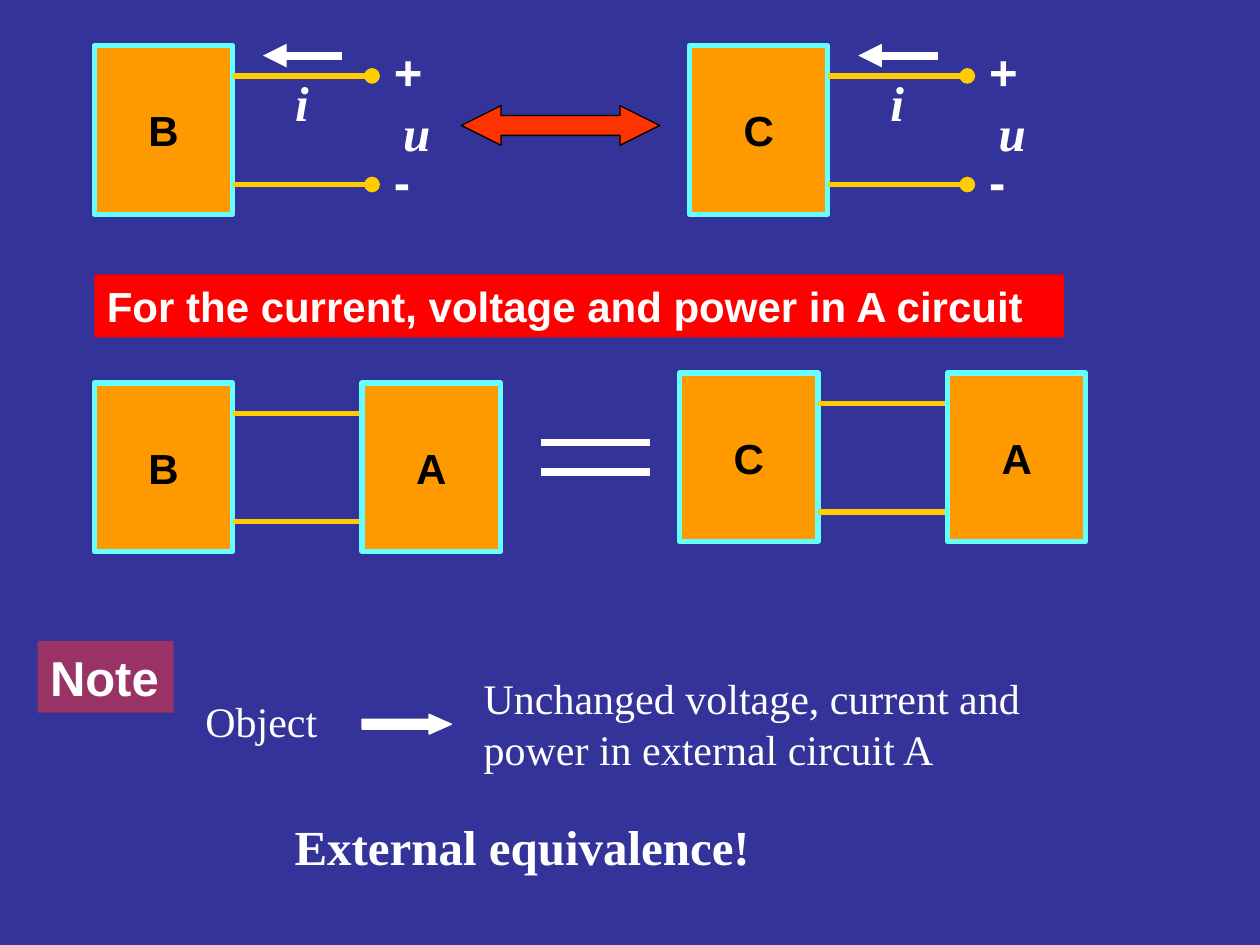
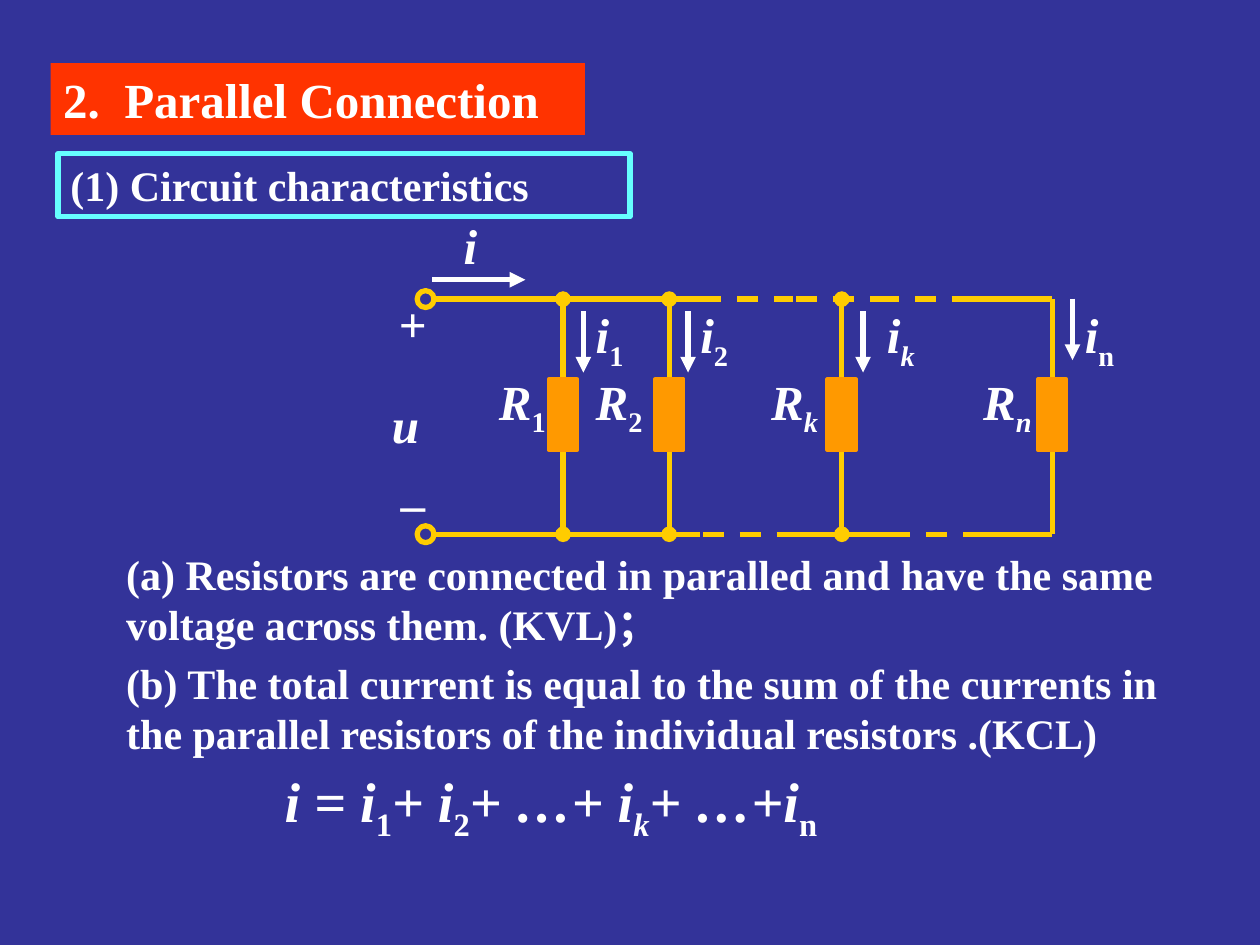
import pptx
import pptx.dml.color
import pptx.enum.dml
import pptx.enum.shapes
import pptx.enum.text
import pptx.oxml.ns
import pptx.util
from lxml import etree

Cm, Pt = pptx.util.Cm, pptx.util.Pt
RGB = pptx.dml.color.RGBColor
KIND = pptx.enum.shapes.MSO_SHAPE
ALIGN = pptx.enum.text.PP_ALIGN
ANCHOR = pptx.enum.text.MSO_ANCHOR
qn = pptx.oxml.ns.qn

NAVY = RGB(0x33, 0x33, 0x99)
WHITE = RGB(0xFF, 0xFF, 0xFF)
BLACK = RGB(0, 0, 0)
ORANGE = RGB(0xFF, 0x99, 0x00)
GOLD = RGB(0xFF, 0xCC, 0x00)
CYAN = RGB(0x66, 0xFF, 0xFF)
RED = RGB(0xFF, 0, 0)
SCARLET = RGB(0xFF, 0x33, 0x00)
PLUM = RGB(0x99, 0x33, 0x66)
SANS, SERIF = "Arial", "Times New Roman"


def place(shape, left, top, width, height):
    shape.left, shape.top = Cm(left), Cm(top)
    shape.width, shape.height = Cm(width), Cm(height)


def style(para, size, font=SERIF, color=WHITE, bold=True, italic=False,
          align=ALIGN.LEFT):
    para.alignment = align
    para.font.size, para.font.name = Pt(size), font
    para.font.bold, para.font.italic = bold, italic
    para.font.color.rgb = color


def write(shape, text, size, wrap=True, anchor=ANCHOR.TOP, **look):
    """Fill a shape with one styled paragraph."""
    frame = shape.text_frame
    frame.word_wrap, frame.vertical_anchor = wrap, anchor
    frame.auto_size = pptx.enum.text.MSO_AUTO_SIZE.NONE
    frame.text = text
    style(frame.paragraphs[0], size, **look)


def label(slide, text, box, size=28, **look):
    shape = slide.shapes.add_textbox(0, 0, 0, 0)
    place(shape, *box)
    write(shape, text, size, **look)
    return shape


def maths(slide, parts, box, size=28, **look):
    """Write (text, subscript, slanted) parts on one line."""
    para = label(slide, "", box, size, **look).text_frame.paragraphs[0]
    for text, low, slant in parts:
        run = para.add_run()
        run.text = text
        run.font.italic = slant
        if low:
            run.font._element.set("baseline", "-25000")


def block(slide, kind, box, fill=None, line=None, width=3):
    shape = slide.shapes.add_shape(kind, 0, 0, 0, 0)
    place(shape, *box)
    shape.shadow.inherit = False
    paint(shape, fill, line, width)
    return shape


def paint(shape, fill, line=None, width=3):
    if fill is None:
        shape.fill.background()
    else:
        shape.fill.solid()
        shape.fill.fore_color.rgb = fill
    if line is None:
        shape.line.fill.background()
    else:
        shape.line.color.rgb = line
        shape.line.width = Pt(width)


def wire(slide, x1, y1, x2, y2, color=GOLD, width=3, dash=False,
         head=None, tail=None):
    link = slide.shapes.add_connector(
        pptx.enum.shapes.MSO_CONNECTOR.STRAIGHT, Cm(x1), Cm(y1), Cm(x2), Cm(y2))
    link.line.color.rgb = color
    link.line.width = Pt(width)
    if dash:
        link.line.dash_style = pptx.enum.dml.MSO_LINE.DASH
    for tag, end in (("a:headEnd", head), ("a:tailEnd", tail)):
        if end:
            etree.SubElement(link.line._ln, qn(tag), type=end)
    etree.SubElement(link._element.spPr, qn("a:effectLst"))


def title(slide, text, box, fill, size, font):
    shape = slide.shapes.title
    place(shape, *box)
    paint(shape, fill)
    write(shape, text, size, font=font)


def cell(slide, name, left, top):
    """Draw a named part of a circuit as a framed box."""
    shape = block(slide, KIND.RECTANGLE, (left, top, 2.79, 3.4), ORANGE, CYAN)
    write(shape, name, 24, wrap=False, anchor=ANCHOR.MIDDLE, font=SANS,
          color=BLACK, align=ALIGN.CENTER)


def leads(slide, name, left, top):
    """Draw a box with its two leads."""
    cell(slide, name, left, top)
    for drop in (0.61, 2.8):
        wire(slide, left + 2.79, top + drop, left + 5.6, top + drop, tail="oval")


def port(slide, name, left, top):
    """Draw a box with leads, current arrow and voltage signs."""
    leads(slide, name, left, top)
    wire(slide, left + 5, top + 0.2, left + 3.4, top + 0.2, WHITE, 4.5,
         tail="triangle")
    for text, dx, dy, font in (("+", 5.79, -0.2, SANS), ("-", 5.79, 2.01, SANS),
                               ("u", 5.98, 1.02, SERIF), ("i", 3.8, 0.41, SERIF)):
        label(slide, text, (left + dx, top + dy, 1, 1.45), font=font,
              italic=font == SERIF)


def joined(slide, name, left, top):
    """Draw a box wired to circuit A."""
    leads(slide, name, left, top)
    cell(slide, "A", left + 5.4, top)


def equal(slide):
    title(slide, "For the current, voltage and power in A circuit",
          (1.9, 5.53, 19.55, 1.27), RED, 24, SANS)
    port(slide, "B", 1.9, 0.92)
    port(slide, "C", 13.9, 0.92)
    both = block(slide, KIND.LEFT_RIGHT_ARROW, (9.3, 2.13, 4, 0.8), SCARLET,
                 BLACK, 0.75)
    both.adjustments[1] = 1
    joined(slide, "B", 1.9, 7.72)
    joined(slide, "C", 13.7, 7.52)
    for y in (8.92, 9.52):
        wire(slide, 10.9, y, 13.1, y, WHITE, 4.5)

    note = block(slide, KIND.RECTANGLE, (0.76, 12.92, 2.74, 1.45), PLUM)
    write(note, "Note", 28, font=SANS)
    label(slide, "Object", (3.89, 13.89, 6.6, 1.27), 24, bold=False)
    then = block(slide, KIND.RIGHT_ARROW, (7.3, 14.4, 1.8, 0.4), WHITE, WHITE, 0.75)
    then.adjustments[1] = 1.12
    label(slide, "Unchanged voltage, current and power in external circuit A",
          (9.5, 13.44, 13.08, 2.31), 24, bold=False)
    label(slide, "External equivalence!", (5.69, 16.33, 12.73, 1.45))


def branch(slide, x, name, slant, res, cur, arrow, top, dots):
    """Draw one resistor branch; res, cur and arrow are x places."""
    end = "oval" if dots else None
    wire(slide, x, 10.77, x, 6.03, head=end, tail=end)
    block(slide, KIND.RECTANGLE, (x - 0.29, 7.65, 0.58, 1.42), ORANGE, ORANGE, 2.25)
    wire(slide, arrow, top, arrow, top + 1.24, WHITE, tail="triangle")
    maths(slide, [("R", False, True), (name, True, slant)],
          (res, 7.44, 1.5, 1.45), wrap=False, anchor=ANCHOR.MIDDLE,
          align=ALIGN.CENTER)
    maths(slide, [("i", False, True), (name, True, name == "k")],
          (cur, 6.02, 1.57, 1.45))


def rails(slide):
    """Draw the two rails, dashed where branches are left out."""
    top = ((8.71, 14.12, False), (14.12, 15.98, True), (16.05, 17.93, True),
           (17.7, 19.58, True), (19.58, 21.21, False))
    low = ((8.71, 14.12, False), (14.17, 16.05, True), (16.05, 17.93, False),
           (17.93, 19.81, True), (19.58, 21.21, False))
    for y, parts in ((6.03, top), (10.77, low)):
        for start, stop, dash in parts:
            wire(slide, start, y, stop, y, dash=dash)
        block(slide, KIND.OVAL, (8.41, y - 0.17, 0.34, 0.34), None, GOLD)


def listing(slide, items, box):
    body = slide.placeholders[1]
    place(body, *box)
    frame = body.text_frame
    frame.auto_size = pptx.enum.text.MSO_AUTO_SIZE.NONE
    frame.text = "\n".join(items)
    for n, para in enumerate(frame.paragraphs):
        props = para._p.get_or_add_pPr()
        props.set("marL", "0")
        props.set("indent", "0")
        etree.SubElement(props, qn("a:buNone"))
        para.space_before = Pt(5 if n else 0)
        style(para, 24)


def shunt(slide):
    title(slide, "2.  Parallel Connection", (1.02, 1.27, 10.77, 1.45),
          SCARLET, 28, SERIF)
    head = block(slide, KIND.RECTANGLE, (1.17, 3.1, 11.53, 1.27), None, CYAN)
    write(head, "(1) Circuit characteristics", 24)

    rails(slide)
    branch(slide, 11.35, "1", False, 9.78, 11.76, 11.76, 6.27, True)
    branch(slide, 13.49, "2", False, 11.73, 13.87, 13.87, 6.27, True)
    branch(slide, 16.97, "k", True, 15.27, 17.63, 17.4, 6.27, True)
    branch(slide, 21.21, "n", True, 19.56, 21.62, 21.62, 6.02, False)
    wire(slide, 8.71, 5.64, 10.59, 5.64, WHITE, tail="triangle")
    for text, left, top in (("i", 9.09, 4.22), ("+", 7.8, 5.79),
                            ("u", 7.65, 7.82), ("_", 7.8, 9.07)):
        label(slide, text, (left, top, 1.05, 1.45) if text != "i"
              else (left, top, 0.79, 1.45), wrap=False, anchor=ANCHOR.MIDDLE,
              italic=text in "iu", align=ALIGN.CENTER)

    listing(slide, (
        "(a) Resistors are connected in paralled and have the same voltage "
        "across them. (KVL)；",
        "(b) The total current is equal to the sum of the currents in the "
        "parallel resistors of the individual resistors .(KCL)"),
        (2.29, 10.92, 22.07, 4.52))
    maths(slide, [("i = i", False, True), ("1", True, False),
                  ("+ i", False, True), ("2", True, False),
                  ("+ …+ i", False, True), ("k", True, True),
                  ("+ …+i", False, True), ("n", True, False)],
          (5.49, 15.32, 13.79, 1.6), 32)


def main():
    deck = pptx.Presentation()
    deck.slide_width, deck.slide_height = Cm(25.4), Cm(19.05)
    back = deck.slide_master.background.fill
    back.solid()
    back.fore_color.rgb = NAVY
    for layout, draw in ((5, equal), (1, shunt)):
        draw(deck.slides.add_slide(deck.slide_layouts[layout]))
    deck.save("out.pptx")


if __name__ == "__main__":
    main()
